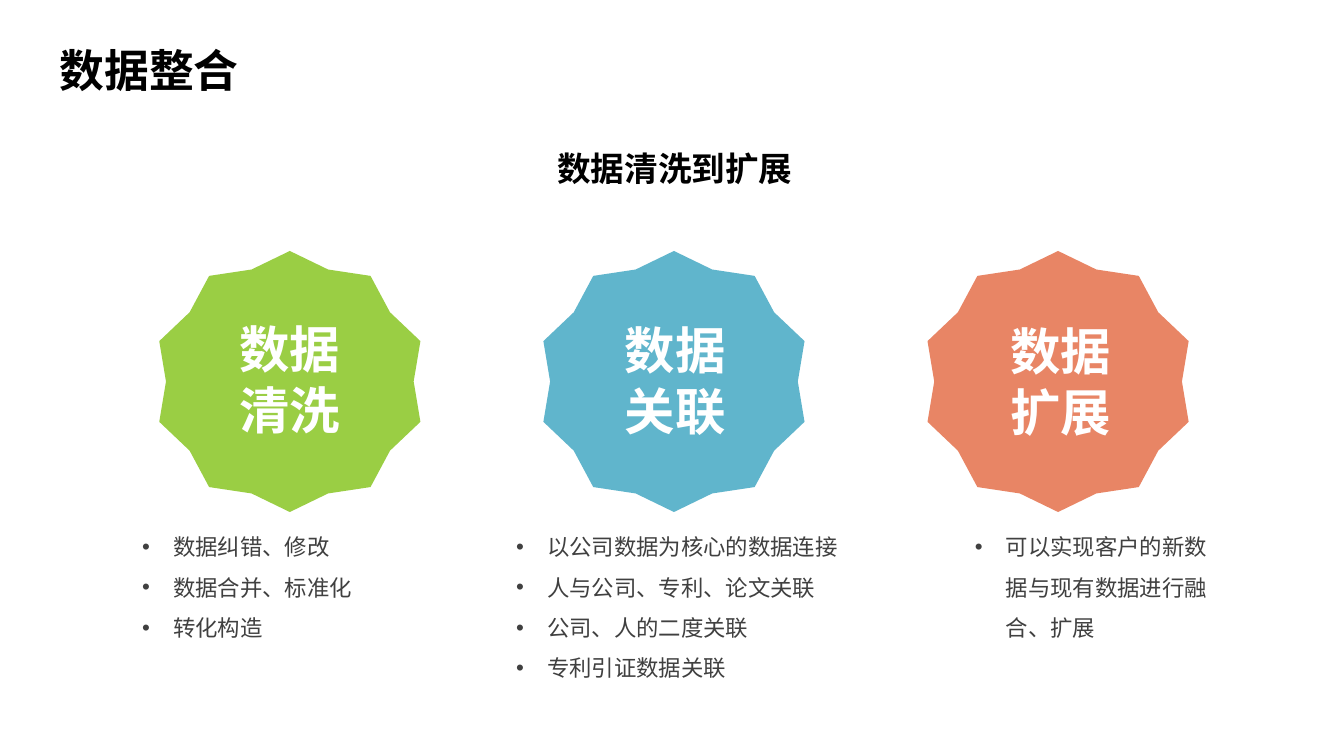
from dataclasses import dataclass

from lxml import etree
from pptx import Presentation
from pptx.dml.color import RGBColor
from pptx.enum.shapes import MSO_SHAPE
from pptx.enum.text import MSO_ANCHOR, MSO_AUTO_SIZE, PP_ALIGN
from pptx.oxml.ns import qn
from pptx.util import Inches, Pt

STAR = MSO_SHAPE.STAR_10_POINT
LEFT, CENTER = PP_ALIGN.LEFT, PP_ALIGN.CENTER
TOP, MIDDLE = MSO_ANCHOR.TOP, MSO_ANCHOR.MIDDLE
FIXED = MSO_AUTO_SIZE.NONE
TITLE_ONLY = 5

SLIDE_W, SLIDE_H = Inches(13.33), Inches(7.5)
# The grid has 100 columns and 100 rows
COLUMN, ROW = SLIDE_W / 100, SLIDE_H / 100


@dataclass(frozen=True)
class Theme:
    latin: str = "Arial"
    chinese: str = "Noto Sans CJK SC"
    heading: str = "000000"
    body: str = "404040"
    on_badge: str = "FFFFFF"
    title_size: int = 32
    subtitle_size: int = 24
    badge_size: int = 36
    body_size: int = 16


THEME = Theme()

# Badge colour, badge words, first column and width of the points, points
STAGES = [
    ("9ACE44", ["数据", "清洗"], 9.83, 22.58,
     ["数据纠错、修改", "数据合并、标准化", "转化构造"]),
    ("60B5CC", ["数据", "关联"], 37.66, 28.43,
     ["以公司数据为核心的数据连接", "人与公司、专利、论文关联",
      "公司、人的二度关联", "专利引证数据关联"]),
    ("E88565", ["数据", "扩展"], 71.79, 19.28,
     ["可以实现客户的新数据与现有数据进行融合、扩展"]),
]


def grid(left, top, width, height):
    return (round(left * COLUMN), round(top * ROW),
            round(width * COLUMN), round(height * ROW))


def add_bullet(paragraph):
    properties = paragraph._p.get_or_add_pPr()
    indent = Inches(0.31)
    properties.set("marL", str(indent))
    properties.set("indent", str(-indent))
    etree.SubElement(properties, qn("a:buFont"), typeface=THEME.latin)
    etree.SubElement(properties, qn("a:buChar"), char="•")


def write(frame, lines, *, size, color, font=THEME.latin, bold=False,
          align=LEFT, anchor=TOP, spacing=1.0, bullets=False):
    frame.word_wrap = True
    frame.auto_size = FIXED
    frame.vertical_anchor = anchor
    for number, line in enumerate(lines):
        paragraph = frame.add_paragraph() if number else frame.paragraphs[0]
        if bullets:
            add_bullet(paragraph)
        paragraph.alignment = align
        paragraph.line_spacing = spacing
        run = paragraph.add_run()
        run.text = line
        run.font.name = font
        run.font.size = Pt(size)
        run.font.bold = bold
        run.font.color.rgb = RGBColor.from_string(color)
        etree.SubElement(run._r.get_or_add_rPr(), qn("a:ea"),
                         typeface=THEME.chinese)


def add_text(slide, area, lines, **style):
    write(slide.shapes.add_textbox(*grid(*area)).text_frame, lines, **style)


def add_title(slide, area, text):
    title = slide.shapes.title
    title.left, title.top, title.width, title.height = grid(*area)
    write(title.text_frame, [text], size=THEME.title_size, bold=True,
          color=THEME.heading, font=THEME.chinese, anchor=MIDDLE)


def add_badge(slide, area, color):
    badge = slide.shapes.add_shape(STAR, *grid(*area))
    badge.adjustments[0] = 0.451
    badge.shadow.inherit = False
    badge.fill.solid()
    badge.fill.fore_color.rgb = RGBColor.from_string(color)
    badge.line.fill.background()


def add_stage(slide, number, color, words, points_left, points_width, points):
    add_badge(slide, (11.85 + 28.58 * number, 33.2, 19.43, 34.53), color)
    add_text(slide, (14.4 + 28.69 * number, 41.47 + 0.13 * number, 14.33, 17.47),
             words, size=THEME.badge_size, color=THEME.on_badge, bold=True,
             align=CENTER)
    add_text(slide, (points_left, 68.13, points_width, 23.6), points,
             size=THEME.body_size, color=THEME.body, spacing=1.5, bullets=True)


def main():
    deck = Presentation()
    deck.slide_width, deck.slide_height = SLIDE_W, SLIDE_H
    slide = deck.slides.add_slide(deck.slide_layouts[TITLE_ONLY])

    # Headings
    add_title(slide, (3.68, 4.93, 37.2, 8.53), "数据整合")
    add_text(slide, (34.13, 18.93, 32.18, 6.67), ["数据清洗到扩展"],
             size=THEME.subtitle_size, color=THEME.heading, bold=True,
             align=CENTER)

    # Three stages, each a badge above its points
    for number, stage in enumerate(STAGES):
        add_stage(slide, number, *stage)

    deck.save("out.pptx")


if __name__ == "__main__":
    main()
